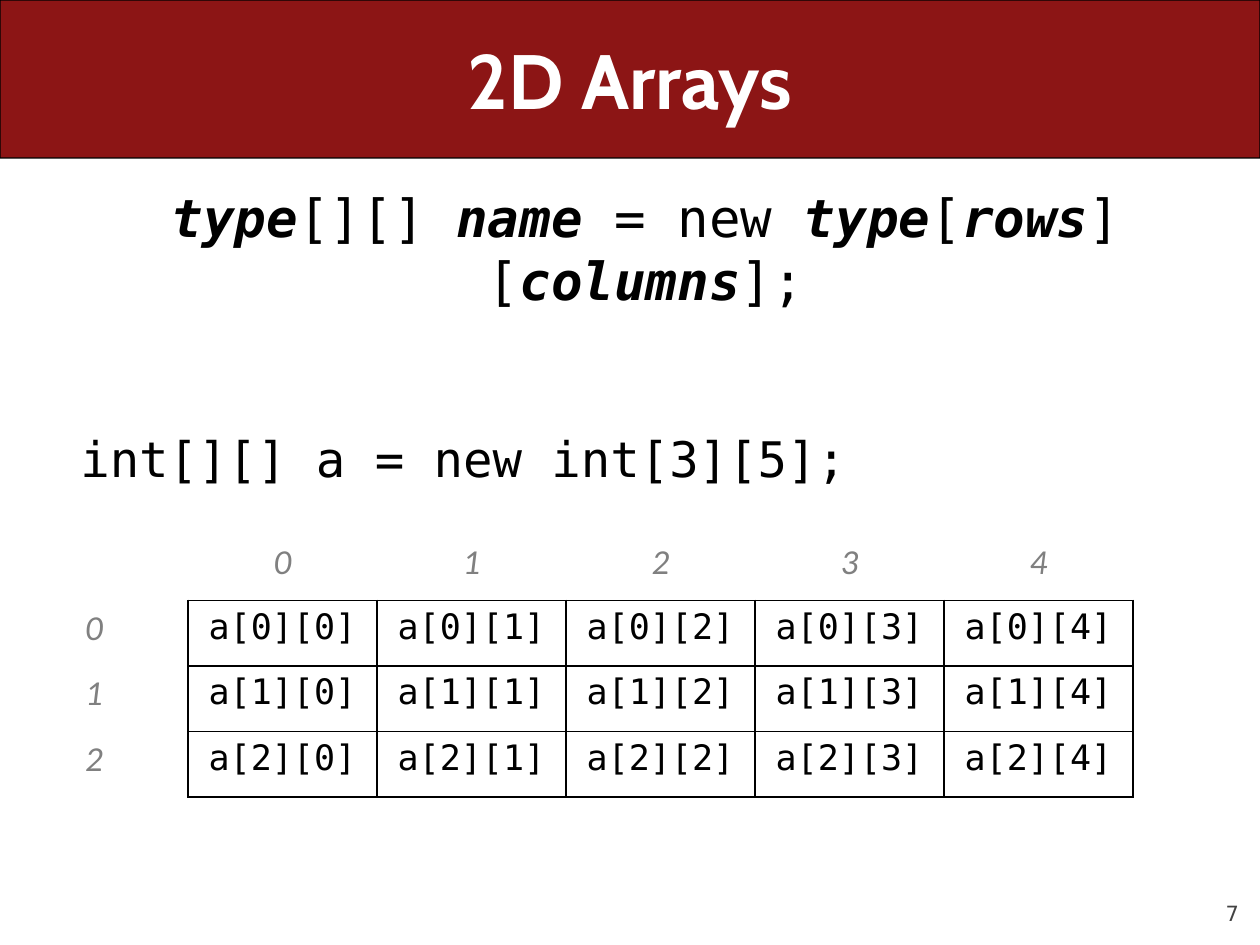
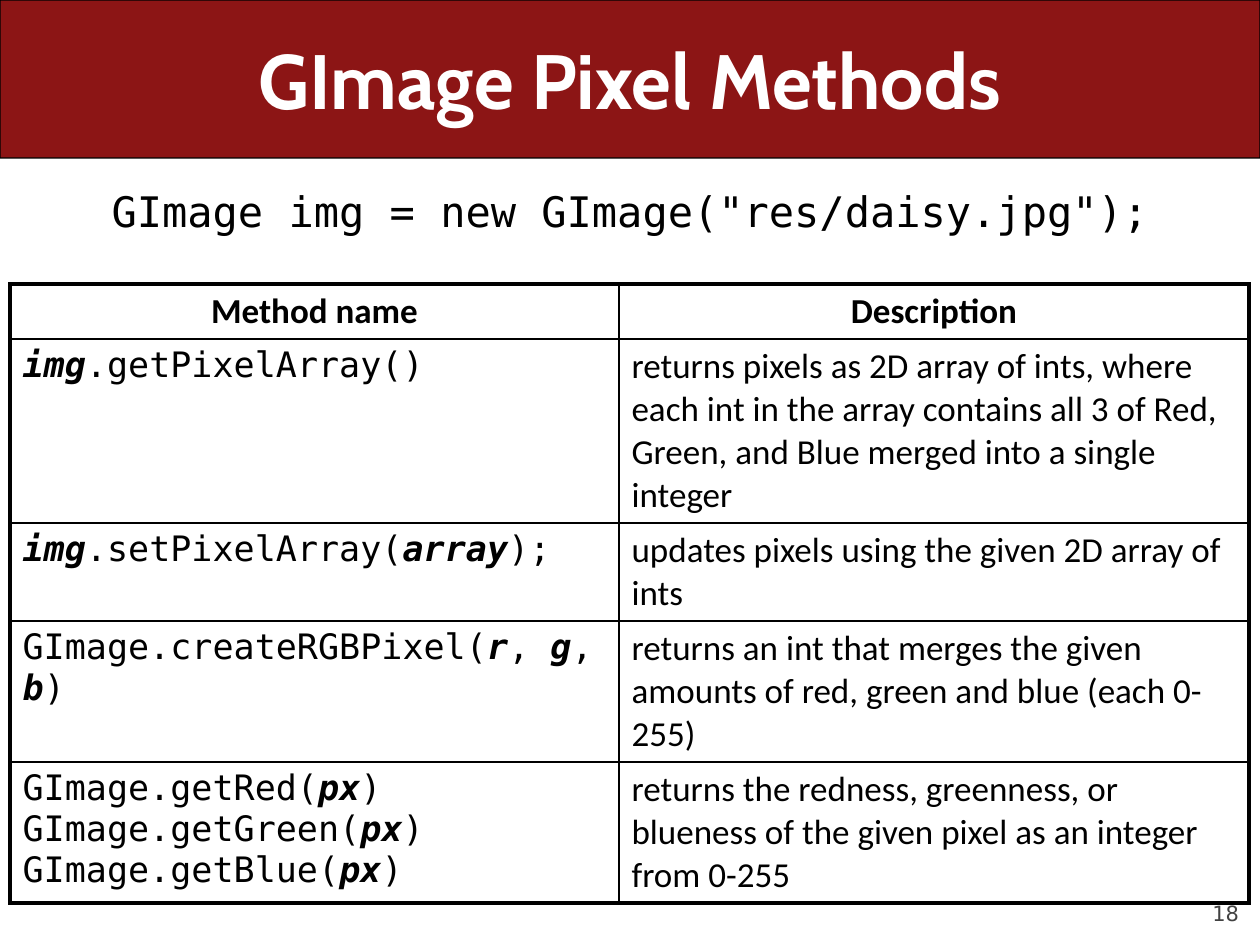
from collections import namedtuple

from lxml import etree
from pptx import Presentation
from pptx.dml.color import RGBColor
from pptx.enum import shapes, text
from pptx.oxml.ns import qn
from pptx.util import Emu, Pt

Box = namedtuple("Box", "x y w h")

CARDINAL = RGBColor(0x8C, 0x15, 0x15)
BLACK = RGBColor(0, 0, 0)
WHITE = RGBColor(255, 255, 255)
INDEX_GRAY = RGBColor(0x80, 0x80, 0x80)
NUMBER_GRAY = RGBColor(0x42, 0x42, 0x42)

CODE, BODY, HEADING, NUMBER = "DejaVu Sans Mono", "Calibri", "Cabin", "DejaVu Sans"
LEFT, CENTER, RIGHT = text.PP_ALIGN.LEFT, text.PP_ALIGN.CENTER, text.PP_ALIGN.RIGHT

SLIDE = Box(0, 0, 1260, 945)
BAND = Box(0, 0, 1260, 158)
CONTENT = Box(21, 179, 1218, 714)
THIN, THICK = 1, 2.25

METHODS = [
    ("*img*.getPixelArray()",
     "returns pixels as 2D array of ints, where each int in the array "
     "contains all 3 of Red, Green, and Blue merged into a single integer", 184),
    ("*img*.setPixelArray(*array*);",
     "updates pixels using the given 2D array of ints", 98),
    ("GImage.createRGBPixel(*r*, *g*, *b*)",
     "returns an int that merges the given amounts of red, green and blue "
     "(each 0-255)", 141),
    ("GImage.getRed(*px*)\nGImage.getGreen(*px*)\nGImage.getBlue(*px*)",
     "returns the redness, greenness, or blueness of the given pixel as an "
     "integer from 0-255", 141),
]


def px(length):
    return Emu(round(length * 914400 / 126))


def emu_box(box):
    return [px(length) for length in box]


def write(frame, content, size=20, font=CODE, color=BLACK, align=LEFT,
          bold=False, italic=False):
    """Write one paragraph; parts between asterisks become bold italic."""
    paragraph = frame.paragraphs[0]
    paragraph.alignment = align
    for i, part in enumerate(content.split("*")):
        for j, line in enumerate(part.split("\n")):
            if j:
                paragraph.add_line_break()
            if not line:
                continue
            run = paragraph.add_run()
            run.text = line
            run.font.name, run.font.size = font, Pt(size)
            run.font.color.rgb = color
            run.font.bold = bold or i % 2 == 1
            run.font.italic = italic or i % 2 == 1


def add_text(slide, box, content, **style):
    frame = slide.shapes.add_textbox(*emu_box(box)).text_frame
    frame.word_wrap = True
    write(frame, content, **style)
    return frame


def add_grid(slide, box, widths, heights):
    """Add a plain table with the given column widths and row heights."""
    grid = slide.shapes.add_table(len(heights), len(widths), *emu_box(box)).table
    grid.first_row = grid.horz_banding = False
    for column, width in zip(grid.columns, widths):
        column.width = px(width)
    for row, height in zip(grid.rows, heights):
        row.height = px(height)
    return grid


def set_borders(cell, left=0, right=0, top=0, bottom=0):
    """Set each side's width in points; zero leaves the side undrawn."""
    properties = cell._tc.get_or_add_tcPr()
    for side, width in zip("LRTB", (left, right, top, bottom)):
        line = etree.SubElement(properties, qn(f"a:ln{side}"), w=str(Pt(width)))
        if width:
            fill = etree.SubElement(line, qn("a:solidFill"))
            etree.SubElement(fill, qn("a:srgbClr"), val=str(BLACK))
        else:
            etree.SubElement(line, qn("a:noFill"))


def add_frame(prs, title, number):
    """Start a slide with its title band and slide number."""
    slide = prs.slides.add_slide(prs.slide_layouts[5])

    # Band behind the title
    band = slide.shapes.add_shape(shapes.MSO_SHAPE.ROUNDED_RECTANGLE, *emu_box(BAND))
    band.adjustments[0] = 0.001
    band.shadow.inherit = False
    band.fill.solid()
    band.fill.fore_color.rgb = CARDINAL
    band.line.color.rgb = BLACK
    band.line.width = Pt(0.75)
    slide.shapes._spTree.insert(2, band._element)

    # Title
    heading = slide.shapes.title
    heading.left, heading.top, heading.width, heading.height = emu_box(
        Box(BAND.x + 63, BAND.y, BAND.w - 126, BAND.h))
    heading.text_frame.auto_size = text.MSO_AUTO_SIZE.NONE
    heading.text_frame.vertical_anchor = text.MSO_ANCHOR.MIDDLE
    write(heading.text_frame, title, size=44, font=HEADING, color=WHITE,
          align=CENTER, bold=True)

    # Slide number
    footer = add_text(slide, Box(SLIDE.w - 126, SLIDE.h - 69, 105, 50), str(number),
                      size=12, font=NUMBER, color=NUMBER_GRAY, align=RIGHT)
    footer.margin_left = footer.margin_right = 0
    footer.margin_top = footer.margin_bottom = 0
    footer.vertical_anchor = text.MSO_ANCHOR.BOTTOM
    return slide


def add_array_grid(slide, box, rows, columns):
    """Draw array elements with their row and column indexes outside."""
    index_width, element_width = 188, 189
    grid = add_grid(slide, box, [index_width] + [element_width] * columns,
                    [box.h / (rows + 1)] * (rows + 1))
    for r in range(rows + 1):
        for c in range(columns + 1):
            cell = grid.cell(r, c)
            if r and c:
                set_borders(cell, THIN, THIN, THIN, THIN)
                write(cell.text_frame, f"a[{r - 1}][{c - 1}]", align=CENTER)
            else:
                set_borders(cell, right=THIN if r else 0, bottom=THIN if c else 0)
                if r or c:
                    write(cell.text_frame, str(max(r, c) - 1), font=BODY,
                          color=INDEX_GRAY, align=CENTER, italic=True)
            cell.fill.background()


def add_methods_table(slide, box):
    """List the methods and what they do, in a heavy outer border."""
    heights = [55] + [height for _, _, height in METHODS]
    name_width = 609
    grid = add_grid(slide, box, [name_width, box.w - name_width], heights)
    rows = [("Method name", "Description")] + [method[:2] for method in METHODS]
    last = len(rows) - 1
    for r, row in enumerate(rows):
        for c, content in enumerate(row):
            cell = grid.cell(r, c)
            set_borders(cell, left=THIN if c else THICK, right=THICK if c else THIN,
                        top=THIN if r else THICK, bottom=THICK if r == last else THIN)
            cell.fill.solid()
            cell.fill.fore_color.rgb = WHITE
            if r == 0:
                write(cell.text_frame, content, font=BODY, align=CENTER, bold=True)
            else:
                write(cell.text_frame, content, font=BODY if c else CODE)


def arrays_slide(prs, box):
    slide = add_frame(prs, "2D Arrays", 7)
    # General syntax
    indent = 32
    add_text(slide, Box(box.x + indent, box.y, box.w - indent, 140),
             "*type*[][] *name* = new *type*[*rows*][*columns*];",
             size=30, align=CENTER)
    # Example and its elements
    add_text(slide, Box(box.x + 47, box.y + 243, box.w - 47, 70),
             "int[][] a = new int[3][5];", size=28)
    add_array_grid(slide, Box(0, box.y + 356, 1133, 262), rows=3, columns=5)


def pixel_methods_slide(prs, box):
    slide = add_frame(prs, "GImage Pixel Methods", 18)
    add_text(slide, Box(box.x, box.y, box.w, 70),
             'GImage img = new GImage("res/daisy.jpg");', size=24, align=CENTER)
    add_methods_table(slide, Box(box.x - 11, box.y + 105, 1239, 619))


def main():
    prs = Presentation()
    prs.slide_width, prs.slide_height = px(SLIDE.w), px(SLIDE.h)
    arrays_slide(prs, CONTENT)
    pixel_methods_slide(prs, CONTENT)
    prs.save("out.pptx")


if __name__ == "__main__":
    main()
